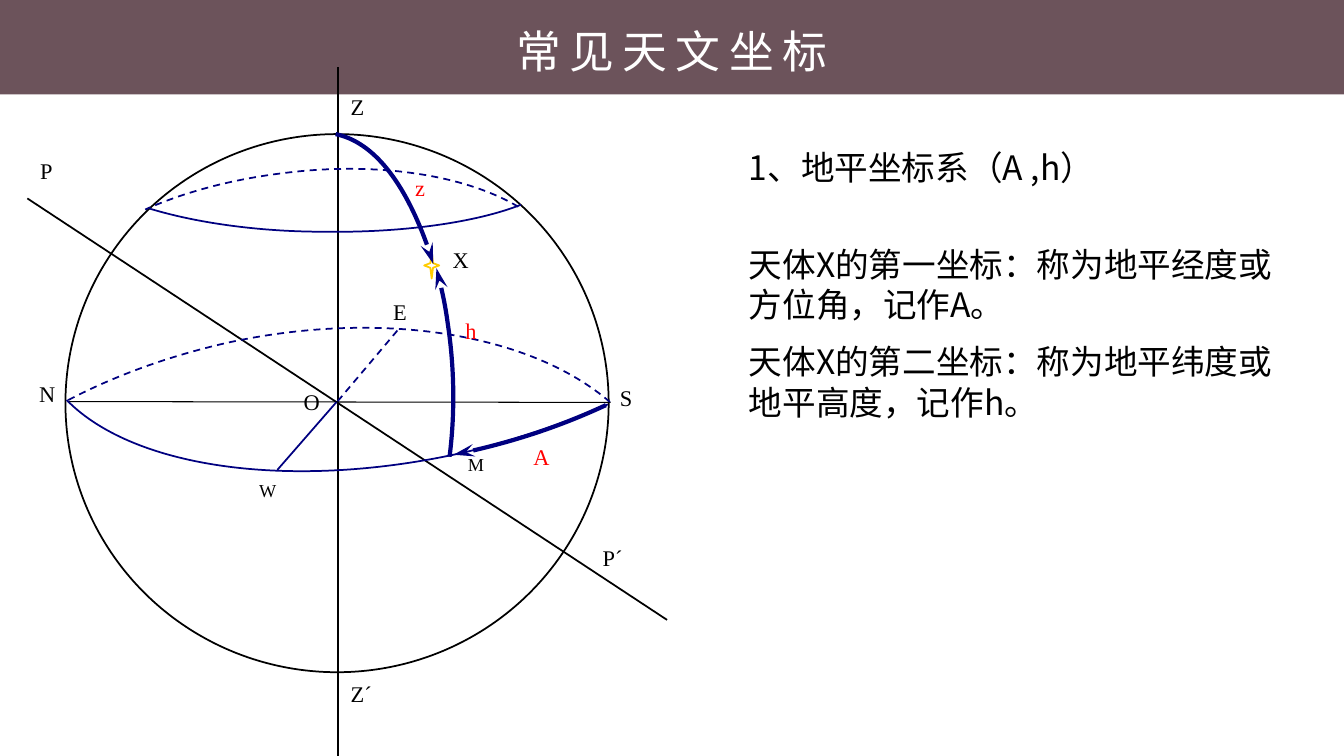
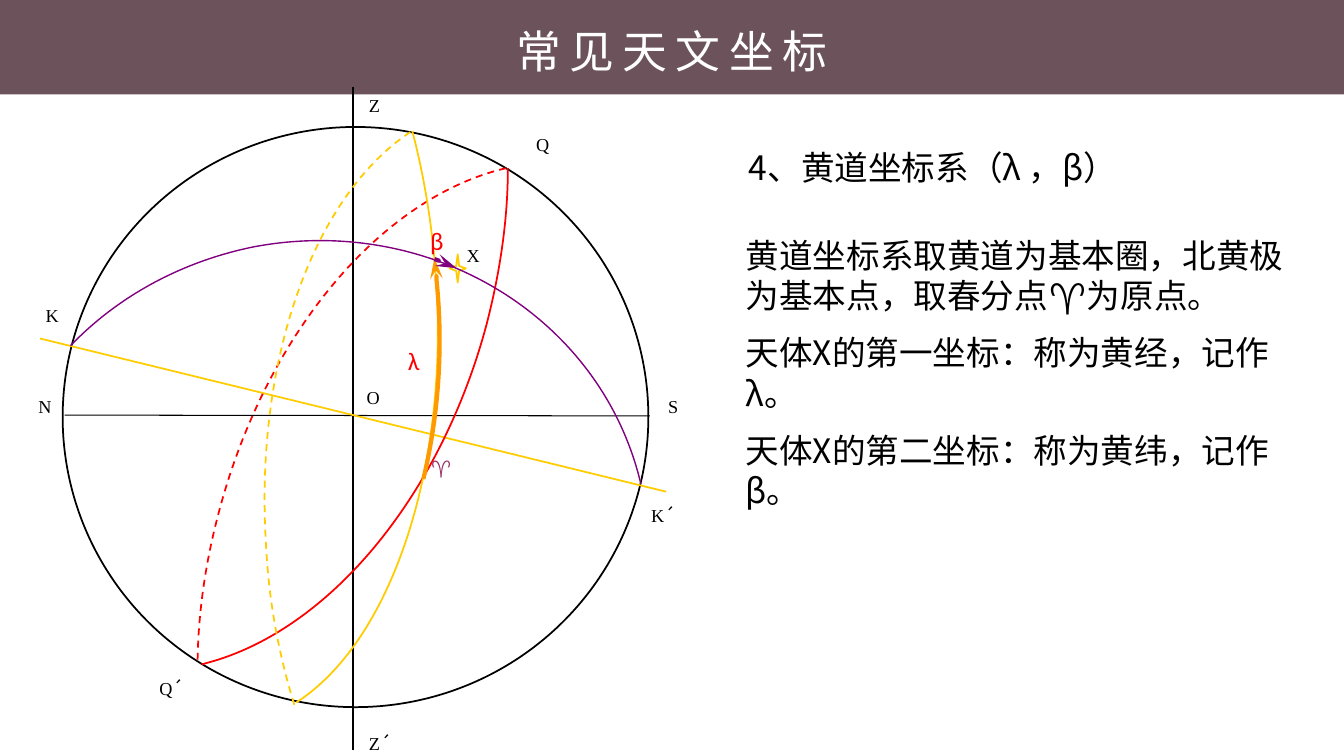
from dataclasses import dataclass

from lxml import etree
from pptx import Presentation
from pptx.dml.color import RGBColor
from pptx.enum.dml import MSO_LINE
from pptx.enum.shapes import MSO_CONNECTOR, MSO_SHAPE
from pptx.enum.text import MSO_ANCHOR, MSO_AUTO_SIZE, PP_ALIGN
from pptx.oxml.ns import qn
from pptx.util import Cm, Pt

DASH = MSO_LINE.DASH
STRAIGHT = MSO_CONNECTOR.STRAIGHT
RECTANGLE, OVAL, STAR = MSO_SHAPE.RECTANGLE, MSO_SHAPE.OVAL, MSO_SHAPE.STAR_4_POINT
TOP = MSO_ANCHOR.TOP
NO_AUTOFIT = MSO_AUTO_SIZE.NONE
LEFT, CENTER = PP_ALIGN.LEFT, PP_ALIGN.CENTER

COLORS = {
    "wine": "300D18", "white": "FFFFFF", "black": "000000", "navy": "000080",
    "red": "FF0000", "gold": "FFCC00", "orange": "FF9900",
    "purple": "800080", "plum": "993366",
}
SANS = "Noto Sans CJK SC"
SANS_JP = "Noto Sans CJK JP"
SERIF = "Times New Roman"
GREEK = "Calibri"

SLIDE_WIDTH, SLIDE_HEIGHT = 33.87, 19.05
BAND_HEIGHT = 2.38
BAND_OPACITY = 71
TITLE = "常见天文坐标"
TITLE_BOX = (8.74, 0.48, 16.38, 1.63)
HEADING_BOX = (18.62, 3.58, 14.81, 1.27)
LINE_FACTOR = 1.2
TWO_CONTENT_LAYOUT = 3

Point = tuple[float, float]
Box = tuple[float, float, float, float]


# Records; all positions are in centimetres
@dataclass(frozen=True)
class TextStyle:
    size: float
    font: str = SANS
    color: str = "black"
    spacing: int = 0


@dataclass(frozen=True)
class Axis:
    start: Point
    end: Point
    color: str = "black"
    width: float = 1.25
    dashed: bool = False


@dataclass(frozen=True)
class Arc:
    """A start point followed by three points per Bezier segment."""
    points: list[Point]
    color: str
    width: float = 1.25
    dashed: bool = False
    arrow: bool = False


@dataclass(frozen=True)
class Label:
    text: str
    left: float
    top: float
    size: float = 13
    color: str = "black"
    font: str = SERIF
    prime_font: str = ""


@dataclass(frozen=True)
class CoordinateSystem:
    heading: str
    paragraphs: list[str]
    body_box: Box
    sphere: Box
    star: Box
    axes: list[Axis]
    arcs: list[Arc]
    labels: list[Label]


HORIZON = CoordinateSystem(
    heading="1、地平坐标系（A ,h）",
    paragraphs=["天体X的第一坐标：称为地平经度或方位角，记作A。",
                "天体X的第二坐标：称为地平纬度或地平高度，记作h。"],
    body_box=(18.62, 6.02, 14.15, 4.88),
    sphere=(1.65, 3.38, 13.69, 13.56),
    star=(10.69, 6.36, 0.38, 0.66),
    axes=[
        Axis((8.51, 1.7), (8.51, 19.05)),
        Axis((1.7, 10.12), (15.39, 10.14), width=0.75),
        Axis((0.69, 5), (16.81, 15.62)),
        Axis((6.99, 11.84), (8.48, 10.13), "navy"),
        Axis((8.51, 10.11), (10.03, 8.31), "navy", dashed=True),
    ],
    arcs=[
        # Horizon circle
        Arc([(1.68, 10.08), (3.4, 11.84), (7.49, 12.37), (11.79, 11.38),
             (13.03, 11.07), (14.22, 10.67), (15.32, 10.19)], "navy"),
        Arc([(15.37, 10.13), (13.34, 8.38), (9.55, 7.8), (5.72, 8.64),
             (4.27, 8.97), (2.87, 9.47), (1.63, 10.13)], "navy", dashed=True),
        # Circle of equal altitude
        Arc([(3.78, 5.26), (4.93, 5.61), (6.5, 5.84), (8.15, 5.84),
             (10.13, 5.87), (11.99, 5.61), (13.13, 5.16)], "navy"),
        Arc([(13.06, 5.21), (11.68, 4.39), (9.42, 4.06), (7.09, 4.37),
             (5.87, 4.52), (4.67, 4.83), (3.66, 5.28)], "navy", dashed=True),
        # Measured arcs A, h and z
        Arc([(11.43, 11.46), (11.53, 11.46), (11.63, 11.43), (11.71, 11.4),
             (12.95, 11.13), (14.17, 10.72), (15.27, 10.21)], "navy", 3, arrow=True),
        Arc([(11, 6.76), (11.13, 7.24), (11.23, 7.75), (11.3, 8.26),
             (11.46, 9.37), (11.46, 10.49), (11.33, 11.51)], "navy", 3, arrow=True),
        Arc([(10.92, 6.65), (10.36, 4.8), (9.42, 3.58), (8.46, 3.38)],
            "navy", 3, arrow=True),
    ],
    labels=[
        Label("Z", 8.51, 2.18, 16), Label("P", 0.68, 3.78, 16),
        Label("S", 15.29, 9.5, 16), Label("N", 0.66, 9.4, 16),
        Label("P", 14.86, 13.54, 16, prime_font=SERIF),
        Label("Z", 8.51, 16.96, 16, prime_font=SERIF),
        Label("E", 9.58, 7.33, 16), Label("W", 6.2, 11.89),
        Label("X", 11.08, 6.03, 16), Label("M", 11.46, 11.25),
        Label("O", 7.32, 9.61, 16), Label("A", 13.11, 10.98, 16, "red"),
        Label("h", 11.4, 7.82, 16, "red"), Label("z", 10.13, 4.22, 16, "red"),
    ],
)

ECLIPTIC = CoordinateSystem(
    heading="4、黄道坐标系（λ ，β）",
    paragraphs=["黄道坐标系取黄道为基本圈，北黄极为基本点，取春分点♈为原点。",
                "天体X的第一坐标：称为黄经，记作λ。",
                "天体X的第二坐标：称为黄纬，记作β。"],
    body_box=(18.54, 5.79, 14.86, 7.2),
    sphere=(1.58, 3.2, 14.76, 14.62),
    star=(11.33, 6.41, 0.41, 0.71),
    axes=[
        Axis((8.89, 2.18), (8.89, 18.9)),
        Axis((1.63, 10.46), (16.38, 10.48), width=0.75),
        Axis((1.01, 8.53), (16.79, 12.39), "gold"),
    ],
    arcs=[
        # Celestial equator
        Arc([(12.75, 4.24), (9.58, 4.98), (6.68, 8.46), (5.51, 12.93),
             (5.18, 14.17), (5, 15.42), (4.98, 16.64)], "red", dashed=True),
        Arc([(5.08, 16.74), (8.23, 15.98), (11.1, 12.55), (12.27, 8.15),
             (12.6, 6.86), (12.8, 5.54), (12.8, 4.24)], "red"),
        # Ecliptic
        Arc([(10.34, 3.33), (7.85, 4.98), (6.4, 9.19), (6.71, 13.82),
             (6.78, 15.19), (7.04, 16.56), (7.44, 17.83)], "gold", dashed=True),
        Arc([(7.47, 17.7), (9.83, 16.18), (11.28, 11.91), (11, 7.21),
             (10.92, 5.87), (10.72, 4.55), (10.39, 3.3)], "gold"),
        # Circle of latitude through X
        Arc([(16.15, 12.19), (15.16, 8), (10.87, 5.38), (6.4, 6.22),
             (4.62, 6.58), (3, 7.44), (1.78, 8.71)], "purple", 1),
        # Measured arcs λ and β
        Arc([(10.95, 6.5), (10.97, 6.68), (11, 6.86), (11, 7.04),
             (11.18, 8.76), (11.05, 10.49), (10.67, 12.07)], "orange", 3, arrow=True),
        Arc([(11.51, 6.76), (11.33, 6.68), (11.15, 6.6), (10.95, 6.53)],
            "purple", 3, arrow=True),
    ],
    labels=[
        Label("Z", 8.97, 2.19), Label("Z", 8.97, 18.27, prime_font=SANS_JP),
        Label("Q", 13.18, 3.18), Label("Q", 3.69, 16.9, prime_font=SANS_JP),
        Label("K", 0.82, 7.5), Label("K", 16.08, 12.54, prime_font=SANS_JP),
        Label("♈", 10.52, 11.33, color="plum", font=SANS),
        Label("O", 8.91, 9.56), Label("S", 16.51, 9.78),
        Label("N", 0.64, 9.78), Label("X", 11.43, 5.97),
        Label("λ", 9.95, 8.53, 18, "red", GREEK),
        Label("β", 10.51, 5.51, 18, "red", GREEK),
    ],
)


# Text
def rgb(name: str) -> RGBColor:
    return RGBColor.from_string(COLORS[name])


def add_run(paragraph, text: str, style: TextStyle) -> None:
    run = paragraph.add_run()
    run.text = text
    run.font.size = Pt(style.size)
    run.font.name = style.font
    run.font.color.rgb = rgb(style.color)
    properties = run.font._element
    etree.SubElement(properties, qn("a:ea")).set("typeface", style.font)
    if style.spacing:
        properties.set("spc", str(style.spacing))


def fill_placeholder(shape, box: Box, texts: list[str], style: TextStyle,
                     alignment=LEFT) -> None:
    shape.left, shape.top, shape.width, shape.height = map(Cm, box)
    frame = shape.text_frame
    frame.word_wrap, frame.auto_size, frame.vertical_anchor = True, NO_AUTOFIT, TOP
    for index, text in enumerate(texts):
        paragraph = frame.add_paragraph() if index else frame.paragraphs[0]
        properties = paragraph._p.get_or_add_pPr()
        properties.set("marL", "0")
        properties.set("indent", "0")
        etree.SubElement(properties, qn("a:buNone"))
        paragraph.alignment = alignment
        paragraph.line_spacing = Pt(style.size * LINE_FACTOR)
        paragraph.space_before = Pt(style.size / 2 if index else 0)
        add_run(paragraph, text, style)


def add_label(slide, label: Label) -> None:
    width = 2 if label.prime_font else 1
    text_box = slide.shapes.add_textbox(Cm(label.left), Cm(label.top), Cm(width), Cm(1.27))
    frame = text_box.text_frame
    frame.word_wrap = True
    frame.margin_left = frame.margin_right = Cm(0.33)
    frame.margin_top = frame.margin_bottom = Cm(0.18)
    paragraph = frame.paragraphs[0]
    add_run(paragraph, label.text, TextStyle(label.size, label.font, label.color))
    if label.prime_font:
        add_run(paragraph, "´", TextStyle(label.size, label.prime_font, label.color))


# Shapes and lines
def style_line(shape, color: str, width: float, dashed: bool = False) -> None:
    shape.line.color.rgb = rgb(color)
    shape.line.width = Pt(width)
    if dashed:
        shape.line.dash_style = DASH


def set_fill(shape, color: str) -> None:
    shape.fill.solid()
    shape.fill.fore_color.rgb = rgb(color)


def add_outline(slide, kind, box: Box, color: str):
    shape = slide.shapes.add_shape(kind, *map(Cm, box))
    shape.shadow.inherit = False
    shape.fill.background()
    style_line(shape, color, 1.25)
    return shape


def add_axis(slide, axis: Axis) -> None:
    connector = slide.shapes.add_connector(STRAIGHT, *map(Cm, axis.start + axis.end))
    style_line(connector, axis.color, axis.width, axis.dashed)
    etree.SubElement(connector.element.spPr, qn("a:effectLst"))


def add_arc(slide, arc: Arc) -> None:
    start, *controls = [(Cm(x), Cm(y)) for x, y in arc.points]
    builder = slide.shapes.build_freeform(*start)
    builder.add_line_segments(controls, close=False)
    shape = builder.convert_to_shape()
    shape.shadow.inherit = False
    shape.fill.background()
    style_line(shape, arc.color, arc.width, arc.dashed)
    # Every three straight steps become one Bezier segment
    outline = next(shape.element.iter(qn("a:path")))
    steps = outline.findall(qn("a:lnTo"))
    for first in range(0, len(steps), 3):
        curve = etree.SubElement(outline, qn("a:cubicBezTo"))
        for step in steps[first:first + 3]:
            curve.append(step[0])
            outline.remove(step)
    if arc.arrow:
        head = etree.SubElement(shape.element.spPr.find(qn("a:ln")), qn("a:headEnd"))
        head.set("type", "stealth")
        head.set("len", "lg")


# Slides
def add_master_bands(presentation, slide) -> None:
    master_tree = presentation.slide_master.shapes.element
    bands = [("wine", 0, BAND_OPACITY), ("white", BAND_HEIGHT, 100)]
    for position, (color, top, opacity) in enumerate(bands, start=2):
        band = slide.shapes.add_shape(RECTANGLE, 0, Cm(top), Cm(SLIDE_WIDTH),
                                      Cm(SLIDE_HEIGHT - top))
        band.shadow.inherit = False
        set_fill(band, color)
        band.line.fill.background()
        if opacity < 100:
            tint = next(band.element.spPr.iter(qn("a:srgbClr")))
            etree.SubElement(tint, qn("a:alpha")).set("val", str(opacity * 1000))
        master_tree.insert(position, band.element)


def add_system_slide(presentation, system: CoordinateSystem):
    slide = presentation.slides.add_slide(presentation.slide_layouts[TWO_CONTENT_LAYOUT])
    heading, body = slide.placeholders[1], slide.placeholders[2]
    fill_placeholder(slide.shapes.title, TITLE_BOX, [TITLE],
                     TextStyle(32, color="white", spacing=600), CENTER)
    fill_placeholder(heading, HEADING_BOX, [system.heading], TextStyle(24))
    fill_placeholder(body, system.body_box, system.paragraphs, TextStyle(24))
    add_outline(slide, OVAL, system.sphere, "black")
    for axis in system.axes:
        add_axis(slide, axis)
    star = add_outline(slide, STAR, system.star, "gold")
    star.adjustments[0] = 0.125
    set_fill(star, "white")
    for arc in system.arcs:
        add_arc(slide, arc)
    for label in system.labels:
        add_label(slide, label)
    return slide


def main() -> None:
    presentation = Presentation()
    presentation.slide_width, presentation.slide_height = Cm(SLIDE_WIDTH), Cm(SLIDE_HEIGHT)
    slides = [add_system_slide(presentation, system) for system in (HORIZON, ECLIPTIC)]
    add_master_bands(presentation, slides[0])
    presentation.save("out.pptx")


if __name__ == "__main__":
    main()
